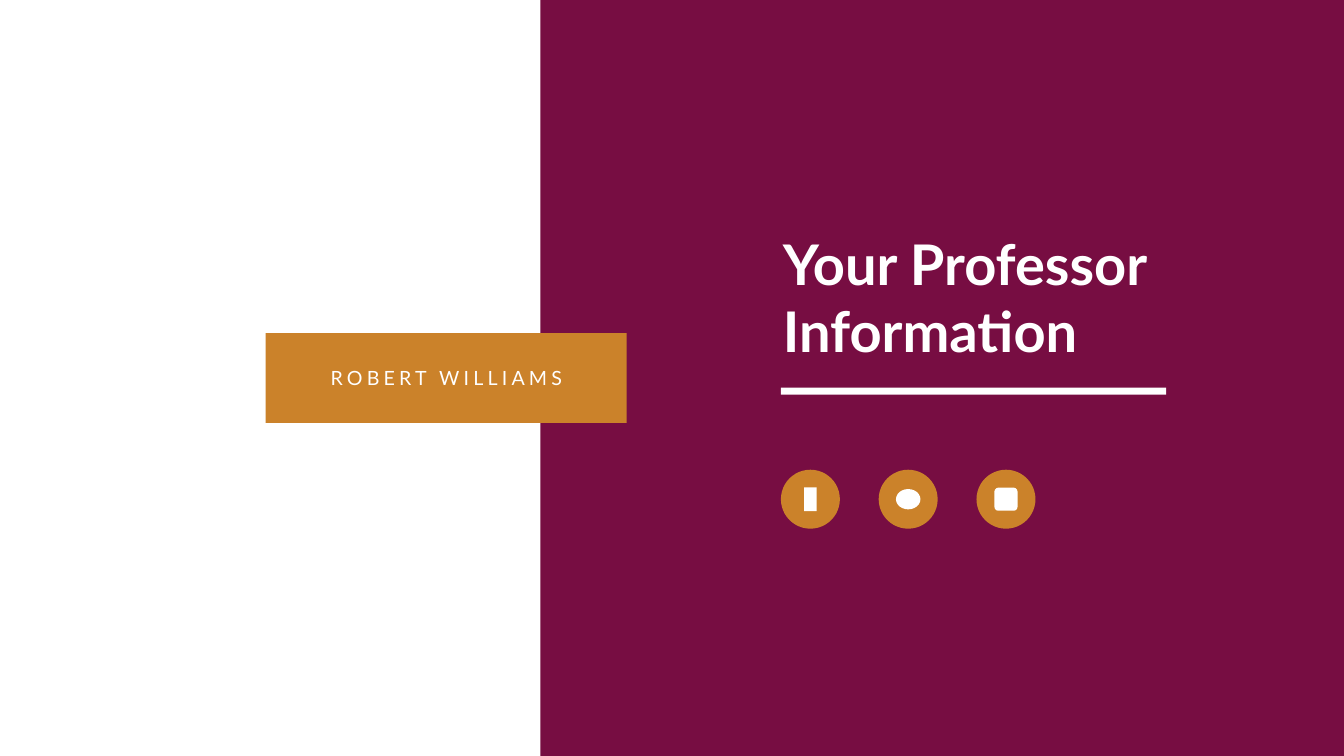
import pptx
import pptx.util
from pptx.dml.color import RGBColor
from pptx.enum.shapes import MSO_SHAPE
from pptx.enum.text import MSO_ANCHOR, MSO_AUTO_SIZE, PP_ALIGN

Pt = pptx.util.Pt

# Content
TITLE = "Your Professor Information"
NAME = "ROBERT WILLIAMS"

WINE, GOLD, WHITE = "770D42", "CB822A", "FFFFFF"
SLIDE_WIDTH, SLIDE_HEIGHT = 1919.52, 1080

# Left, top, width, height in points
PANEL = (771.84, 0, SLIDE_WIDTH - 771.84, SLIDE_HEIGHT)
TITLE_BOX = (1110.96, 324.72, 592.56, 200.88)
RULE = (1115.28, 553.68, 550.08, 10.08)
NAME_PLATE = (379.44, 475.92, 515.52, 128.16)
NAME_BOX = (458.64, 519.12, 357.84, 41.04)

# Social buttons: a round badge with a plain mark in its centre
BADGE_LEFT, BADGE_TOP, BADGE_SIZE, BADGE_STEP = 1115.28, 671.04, 84.24, 139.68
MARKS = [
    (MSO_SHAPE.RECTANGLE, 18, 34),
    (MSO_SHAPE.OVAL, 35, 29),
    (MSO_SHAPE.ROUNDED_RECTANGLE, 33, 33),
]


def colour(value):
    return RGBColor.from_string(value)


def add_filled(slide, kind, bounds, fill):
    shape = slide.shapes.add_shape(kind, *map(Pt, bounds))
    shape.shadow.inherit = False
    shape.fill.solid()
    shape.fill.fore_color.rgb = colour(fill)
    shape.line.fill.background()
    return shape


def set_text(box, text, align, frame_format, font_format):
    frame = box.text_frame
    frame.text = text
    for name, value in frame_format.items():
        setattr(frame, name, value)
    para = frame.paragraphs[0]
    para.alignment = align
    span = para.runs[0]
    for name, value in font_format.items():
        setattr(span.font, name, value)
    span.font.color.rgb = colour(WHITE)
    return span


deck = pptx.Presentation()
deck.slide_width, deck.slide_height = Pt(SLIDE_WIDTH), Pt(SLIDE_HEIGHT)
slide = deck.slides.add_slide(deck.slide_layouts[5])
slide.background.fill.solid()
slide.background.fill.fore_color.rgb = colour(WHITE)

# Wine panel
add_filled(slide, MSO_SHAPE.RECTANGLE, PANEL, WINE)

# Social buttons
for index, (kind, width, height) in enumerate(MARKS):
    left = BADGE_LEFT + index * BADGE_STEP
    add_filled(slide, MSO_SHAPE.OVAL, (left, BADGE_TOP, BADGE_SIZE, BADGE_SIZE), GOLD)
    mark_left = left + (BADGE_SIZE - width) / 2
    mark_top = BADGE_TOP + (BADGE_SIZE - height) / 2
    add_filled(slide, kind, (mark_left, mark_top, width, height), WHITE)

# Title, raised above the panel, and its rule
title = slide.shapes.title
slide.shapes._spTree.append(title._element)
title.left, title.top, title.width, title.height = map(Pt, TITLE_BOX)
set_text(title, TITLE, PP_ALIGN.LEFT,
         {"word_wrap": True, "auto_size": MSO_AUTO_SIZE.SHAPE_TO_FIT_TEXT,
          "vertical_anchor": MSO_ANCHOR.TOP},
         {"name": "Lato", "size": Pt(80), "bold": True})
add_filled(slide, MSO_SHAPE.RECTANGLE, RULE, WHITE)

# Name plate
add_filled(slide, MSO_SHAPE.RECTANGLE, NAME_PLATE, GOLD)
name_box = slide.shapes.add_textbox(*map(Pt, NAME_BOX))
name_span = set_text(name_box, NAME, PP_ALIGN.CENTER,
                     {"word_wrap": False, "auto_size": MSO_AUTO_SIZE.SHAPE_TO_FIT_TEXT},
                     {"name": "Lato", "size": Pt(28)})
name_span.font._element.set("spc", "600")  # letter spacing of 6 pt

deck.save("out.pptx")
